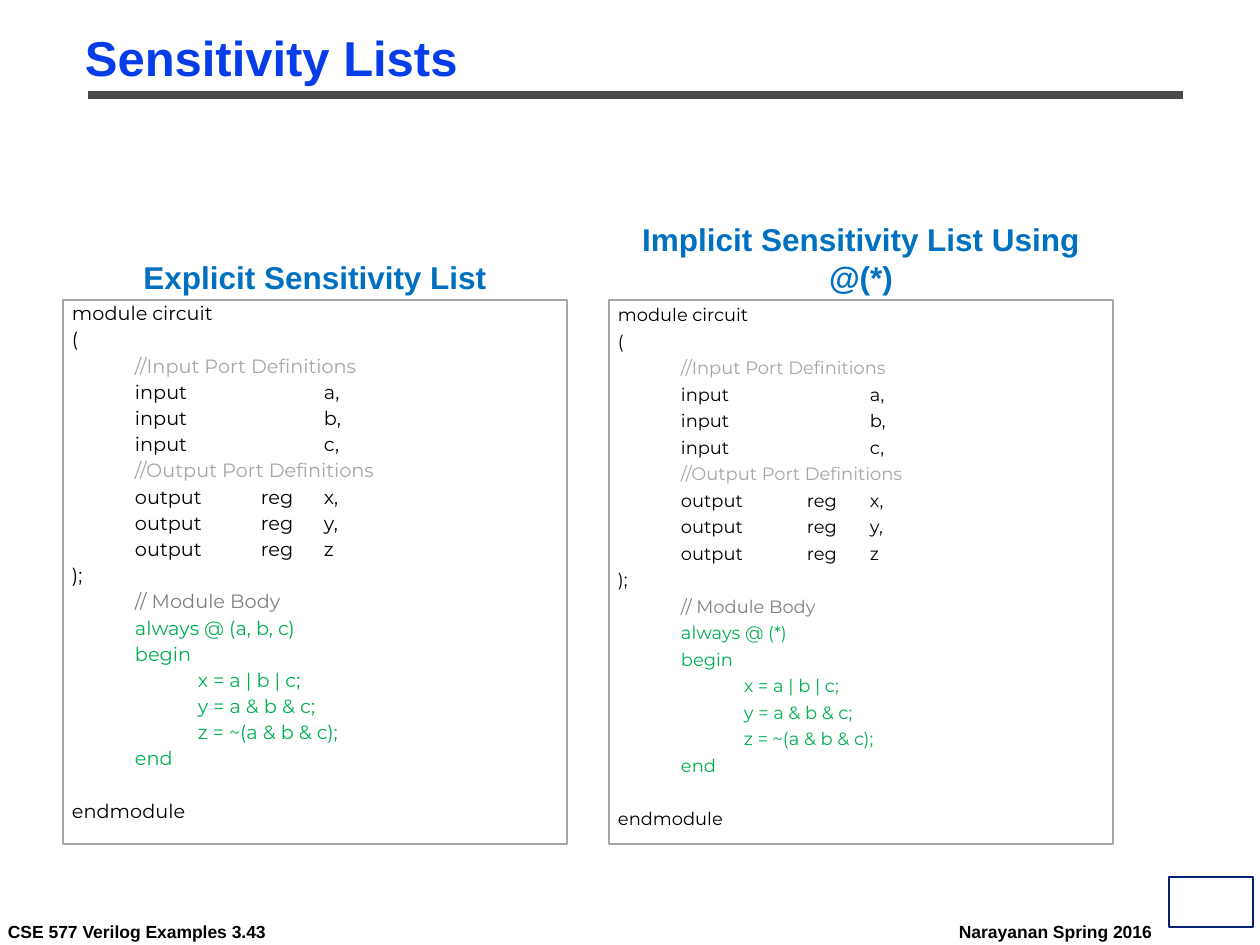
from lxml.etree import SubElement
from pptx import Presentation
from pptx.dml.color import RGBColor as RGB
from pptx.enum.shapes import MSO_CONNECTOR as LINE, MSO_SHAPE as SHAPE
from pptx.enum.text import MSO_ANCHOR as ANCHOR, MSO_AUTO_SIZE as FIT, PP_ALIGN as ALIGN
from pptx.oxml.ns import qn
from pptx.util import Pt

COLORS = {"title": "063DE8", "head": "0070C0", "rule": "484848", "navy": "031F74",
          "black": "000000", "pale": "A6A6A6", "gray": "808080", "green": "00B050"}
TITLE = "Sensitivity Lists"
FOOTERS = [("CSE 577 Verilog Examples 3.43", -1, 280),
           ("Narayanan Spring 2016", 950, 212)]
PANELS = [
    dict(head="Explicit Sensitivity List", event="a, b, c", size=11, lead=0.9, gap=3.1),
    dict(head="Implicit Sensitivity List Using @(*)", event="*", size=10.2, lead=1, gap=2.9),
]
CODE = [
    ("black", "module circuit"),
    ("black", "("),
    ("pale", "\t//Input Port Definitions"),
    ("black", "\tinput \t\t\ta,"),
    ("black", "\tinput \t\t\tb,"),
    ("black", "\tinput \t\t\tc,"),
    ("pale", "\t//Output Port Definitions"),
    ("black", "\toutput \treg\tx,"),
    ("black", "\toutput \treg\ty,"),
    ("black", "\toutput \treg\tz"),
    ("black", ");"),
    ("gray", "\t// Module Body"),
    ("green", "\talways @ ({event})"),
    ("green", "\tbegin"),
    ("green", "\t\tx = a | b | c;"),
    ("green", "\t\ty = a & b & c;"),
    ("green", "\t\tz = ~(a & b & c);"),
    ("green", "\tend"),
    ("black", "endmodule"),
]
LEFT, STEP, WIDTH = 63, 546, 504
HEAD_TOP, HEAD_TALL, CODE_TOP, CODE_TALL = 212, 88, 300, 544
TAB, STOPS = 63, 4
MONT_LINE = 1.22


def px(n):
    return round(n * 914400 / 126)


def color(name):
    return RGB.from_string(COLORS[name])


def place(shape, x, y, w, h):
    shape.left, shape.top, shape.width, shape.height = map(px, (x, y, w, h))


def frame(shape, anchor=ANCHOR.TOP, wrap=True, fit=FIT.NONE):
    box = shape.text_frame
    box.margin_left = box.margin_right = px(9)
    box.margin_top = box.margin_bottom = px(4)
    box.vertical_anchor, box.word_wrap, box.auto_size = anchor, wrap, fit
    return box


def style(para, size, hue, face="Arial", bold=True):
    font = para.font
    font.size, font.name, font.bold = Pt(size), face, bold
    font.color.rgb = color(hue)


def write(box, text, size, hue, align):
    para = box.paragraphs[0]
    para.text, para.alignment, para.space_before = text, align, Pt(0)
    style(para, size, hue)
    return para


def outline(line, hue, width):
    line.color.rgb, line.width = color(hue), Pt(width)


def add_code(box, event, size, lead, gap):
    for i, (hue, text) in enumerate(CODE):
        para = box.paragraphs[0] if i == 0 else box.add_paragraph()
        para.text = text.format(event=event)
        para.line_spacing = lead
        blank = size * MONT_LINE * lead + gap if text == "endmodule" else 0
        para.space_before = Pt(round(gap + blank, 1) if i else 0)
        props = para._p.get_or_add_pPr()
        props.set("marL", "0")
        props.set("indent", "0")
        SubElement(props, qn("a:buNone"))
        tabs = SubElement(props, qn("a:tabLst"))
        for n in range(1, STOPS + 1):
            SubElement(tabs, qn("a:tab"), pos=str(px(TAB * n)), algn="l")
        style(para, size, hue, "Montserrat", False)


deck = Presentation()
deck.slide_width, deck.slide_height = px(1260), px(945)
slide = deck.slides.add_slide(deck.slide_layouts.get_by_name("Comparison"))
shapes = slide.shapes
slots = {s.placeholder_format.idx: s for s in slide.placeholders}

place(slots[0], 76, 32, 1140, 60)
write(frame(slots[0]), TITLE, 28, "title", ALIGN.LEFT).line_spacing = 0.87

rule = shapes.add_connector(LINE.STRAIGHT, px(88), px(95), px(1183), px(95))
outline(rule.line, "rule", 4.5)
SubElement(rule._element.spPr, qn("a:effectLst"))

for i, panel in enumerate(PANELS):
    x = LEFT + i * STEP
    head, code = slots[2 * i + 1], slots[2 * i + 2]
    place(head, x, HEAD_TOP, WIDTH, HEAD_TALL)
    write(frame(head, ANCHOR.BOTTOM), panel["head"], 18, "head", ALIGN.CENTER)
    place(code, x, CODE_TOP, WIDTH, CODE_TALL)
    outline(code.line, "pale", 1)
    add_code(frame(code), panel["event"], panel["size"], panel["lead"], panel["gap"])

for text, x, w in FOOTERS:
    foot = shapes.add_textbox(px(x), px(917), px(w), px(28))
    write(frame(foot, wrap=False, fit=FIT.SHAPE_TO_FIT_TEXT), text, 10, "black", ALIGN.LEFT)

badge = shapes.add_shape(SHAPE.RECTANGLE, px(1169), px(877), px(84), px(50))
badge.shadow.inherit = False
badge.fill.background()
outline(badge.line, "navy", 0.75)

deck.save("out.pptx")
